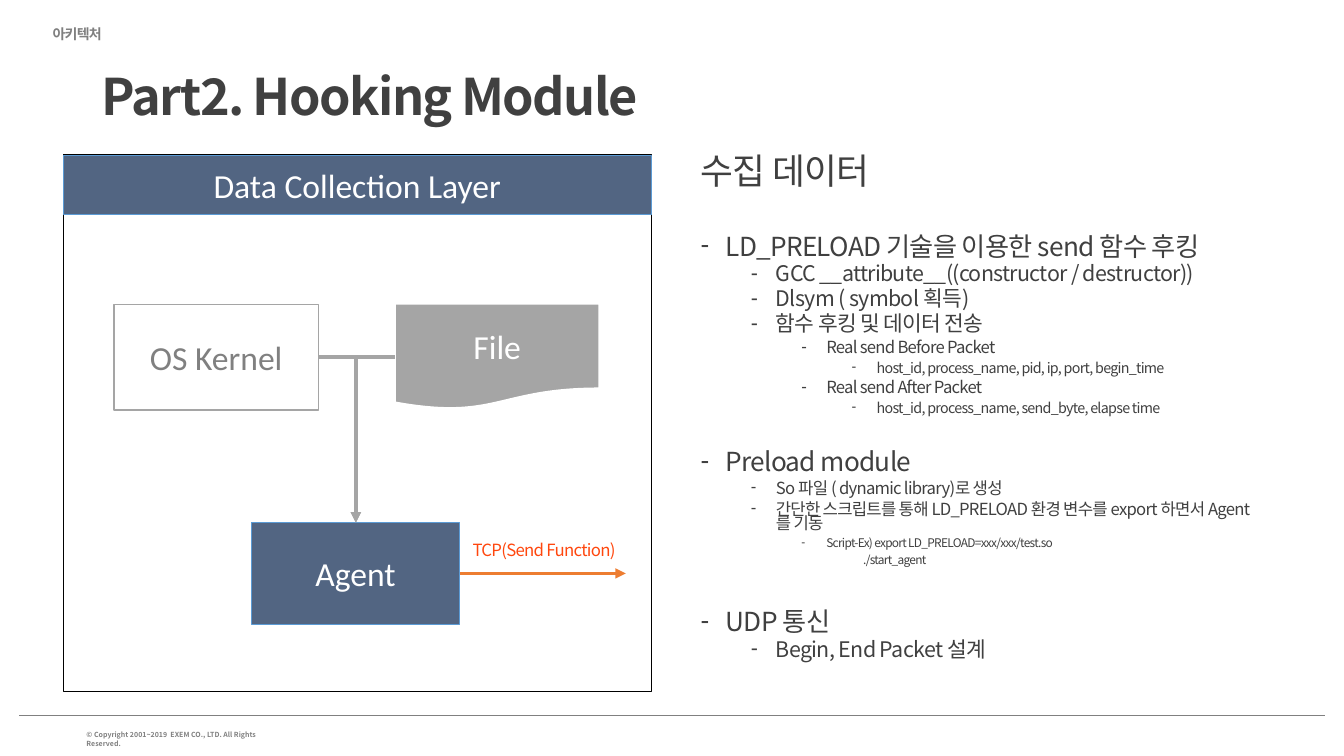
from dataclasses import dataclass

from lxml import etree
from pptx import Presentation
from pptx.dml.color import RGBColor
from pptx.enum.shapes import MSO_CONNECTOR, MSO_SHAPE
from pptx.enum.text import MSO_ANCHOR, MSO_AUTO_SIZE, PP_ALIGN
from pptx.oxml.ns import qn
from pptx.util import Cm, Pt

STRAIGHT, ELBOW = MSO_CONNECTOR.STRAIGHT, MSO_CONNECTOR.ELBOW
BOX, PAGE = MSO_SHAPE.FLOWCHART_PROCESS, MSO_SHAPE.FLOWCHART_DOCUMENT
RECT = MSO_SHAPE.RECTANGLE
TOP, MIDDLE = MSO_ANCHOR.TOP, MSO_ANCHOR.MIDDLE
LEFT, CENTER = PP_ALIGN.LEFT, PP_ALIGN.CENTER


@dataclass(frozen=True)
class Theme:
    sans: str = "Noto Sans CJK KR"
    plain: str = "Calibri"
    ink: str = "404040"
    gray: str = "808080"
    mute: str = "7F7F7F"
    steel: str = "A5A5A5"
    navy: str = "526582"
    blue: str = "5B9BD5"
    white: str = "FFFFFF"
    black: str = "000000"
    amber: str = "ED7D31"
    red: str = "FF470E"
    title: float = 36
    head: float = 25.5
    box: float = 24
    topic: float = 18.7
    point: float = 15.3
    detail: float = 11.9
    field: float = 10.2
    code: float = 8.5
    tag: float = 12
    label: float = 10
    legal: float = 5


T = Theme()


def write(para, text, size, color, font=T.sans, bold=False, track=0):
    """Set one paragraph's text and style; track is letter spacing in points."""
    para.text = text
    for run in para.runs:
        run.font.size, run.font.bold, run.font.name = Pt(size), bold, font
        run.font.color.rgb = RGBColor.from_string(color)
        props = run._r.get_or_add_rPr()
        props.set("spc", str(round(track * 100)))
        etree.SubElement(props, qn("a:ea")).set("typeface", font)


def link(kind, x1, y1, x2, y2, color, width, arrow=True):
    """Draw a connector without shadow; points are in centimetres."""
    wire = slide.shapes.add_connector(kind, Cm(x1), Cm(y1), Cm(x2), Cm(y2))
    wire.line.color.rgb = RGBColor.from_string(color)
    wire.line.width = Pt(width)
    if arrow:
        etree.SubElement(wire.line._get_or_add_ln(), qn("a:tailEnd")).set("type", "triangle")
    etree.SubElement(wire._element.spPr, qn("a:effectLst"))
    return wire


deck = Presentation()
deck.slide_width, deck.slide_height = Cm(33.87), Cm(19.05)
slide = deck.slides.add_slide(deck.slide_layouts[3])
title, notes, label = slide.placeholders

# Title, section label and list areas
for holder, place, anchor in (
    (title, (2.31, 1.45, 28.63, 2.11), MIDDLE),
    (label, (1.07, 0.56, 5.94, 0.56), TOP),
    (notes, (17.4, 3.91, 14.7, 13.39), TOP),
):
    holder.left, holder.top, holder.width, holder.height = map(Cm, place)
    frame = holder.text_frame
    frame.auto_size, frame.vertical_anchor = MSO_AUTO_SIZE.NONE, anchor
    frame.word_wrap = True

para = title.text_frame.paragraphs[0]
write(para, "Part2. Hooking Module", T.title, T.ink, bold=True, track=-1.1)
para.alignment, para.line_spacing = LEFT, 0.9

# List: level, size, space before, text
rows = [
    (0, T.head, 0, "수집 데이터"),
    (0, T.topic, 34.5, "LD_PRELOAD 기술을 이용한 send 함수 후킹"),
    (1, T.point, 5, "GCC __attribute__((constructor / destructor))"),
    (1, T.point, 5, "Dlsym ( symbol 획득)"),
    (1, T.point, 5, "함수 후킹 및 데이터 전송"),
    (2, T.detail, 5, "Real send Before Packet"),
    (3, T.field, 5, "host_id, process_name, pid, ip, port, begin_time"),
    (2, T.detail, 5, "Real send After Packet"),
    (3, T.field, 5, "host_id, process_name, send_byte, elapse time"),
    (0, T.topic, 27.7, "Preload module"),
    (1, T.detail, 5, "So 파일 ( dynamic library)로 생성"),
    (1, T.detail, 5, "간단한 스크립트를 통해 LD_PRELOAD 환경 변수를 export 하면서 Agent를 기동"),
    (2, T.code, 5, "Script-Ex) export LD_PRELOAD=xxx/xxx/test.so"),
    (2, T.code, 5, "./start_agent"),
    (0, T.topic, 34, "UDP 통신"),
    (1, T.point, 5, "Begin, End Packet 설계"),
]
# Left indent of the lines without a dash
bare = {"수집 데이터": 0, "./start_agent": 4.1, "아키텍처": 0}
for holder, lines, color, bold, pitch in (
    (label, [(0, T.label, 0, "아키텍처")], T.mute, True, 0.9),
    (notes, rows, T.ink, False, 0.7),
):
    frame = holder.text_frame
    for i, (level, size, gap, text) in enumerate(lines):
        para = frame.add_paragraph() if i else frame.paragraphs[0]
        write(para, text, size, color, bold=bold, track=-0.5)
        props = para._p.get_or_add_pPr()
        dash = text not in bare
        indent = 0.63 + 1.27 * level if dash else bare[text]
        props.set("marL", str(Cm(indent)))
        props.set("indent", str(Cm(-0.63 if dash else 0)))
        if dash:
            etree.SubElement(props, qn("a:buChar")).set("char", "-")
        else:
            etree.SubElement(props, qn("a:buNone"))
        para.level, para.line_spacing, para.space_before = level, pitch, Pt(gap)

# Diagram boxes: shape, place, fill, line, line width, text, text colour
boxes = {}
for kind, place, fill, edge, width, text, color in (
    (BOX, (1.6, 3.9, 14.81, 13.52), None, T.black, 0.75, "", T.black),
    (RECT, (6.34, 13.17, 5.24, 2.56), T.navy, T.blue, 0.5, "Agent", T.white),
    (PAGE, (9.95, 7.65, 5.16, 2.67), T.steel, T.white, 1.5, "File", T.white),
    (BOX, (2.87, 7.67, 5.16, 2.66), T.white, T.steel, 1, "OS Kernel", T.gray),
    (BOX, (1.6, 3.92, 14.81, 1.47), T.navy, T.blue, 0.5, "Data Collection Layer", T.white),
):
    shape = slide.shapes.add_shape(kind, *map(Cm, place))
    shape.shadow.inherit = False
    if fill:
        shape.fill.solid()
        shape.fill.fore_color.rgb = RGBColor.from_string(fill)
    else:
        shape.fill.background()
    shape.line.color.rgb = RGBColor.from_string(edge)
    shape.line.width = Pt(width)
    if text:
        shape.text_frame.vertical_anchor = MIDDLE
        para = shape.text_frame.paragraphs[0]
        write(para, text, T.box, color, T.plain)
        para.alignment = CENTER
        boxes[text] = shape

# Kernel and file both lead down to the agent
for start in (9.95, 8.03):
    wire = link(ELBOW, start, 9, 8.97, 13.17, T.steel, 2.5)
    wire._element.spPr.find(qn("a:prstGeom")).set("prst", "bentConnector2")

send = link(STRAIGHT, 11.58, 14.45, 15.77, 14.45, T.amber, 2.5)
send.begin_connect(boxes["Agent"], 3)
link(STRAIGHT, 0.48, 18.03, 33.4, 18.03, T.gray, 0.25, arrow=False)

# Send tag and copyright line
for place, text, size, color, bold, track, pitch in (
    ((11.66, 13.53, 4.3, 1.27), "TCP(Send Function)", T.tag, T.red, False, -0.5, 0.9),
    ((1.93, 18.29, 5.3, 0.48), "© Copyright 2001~2019  EXEM CO., LTD. All Rights Reserved.",
     T.legal, T.gray, True, 0, 1.0),
):
    frame = slide.shapes.add_textbox(*map(Cm, place)).text_frame
    frame.word_wrap = True
    para = frame.paragraphs[0]
    write(para, text, size, color, bold=bold, track=track)
    para.line_spacing = pitch

deck.save("out.pptx")
